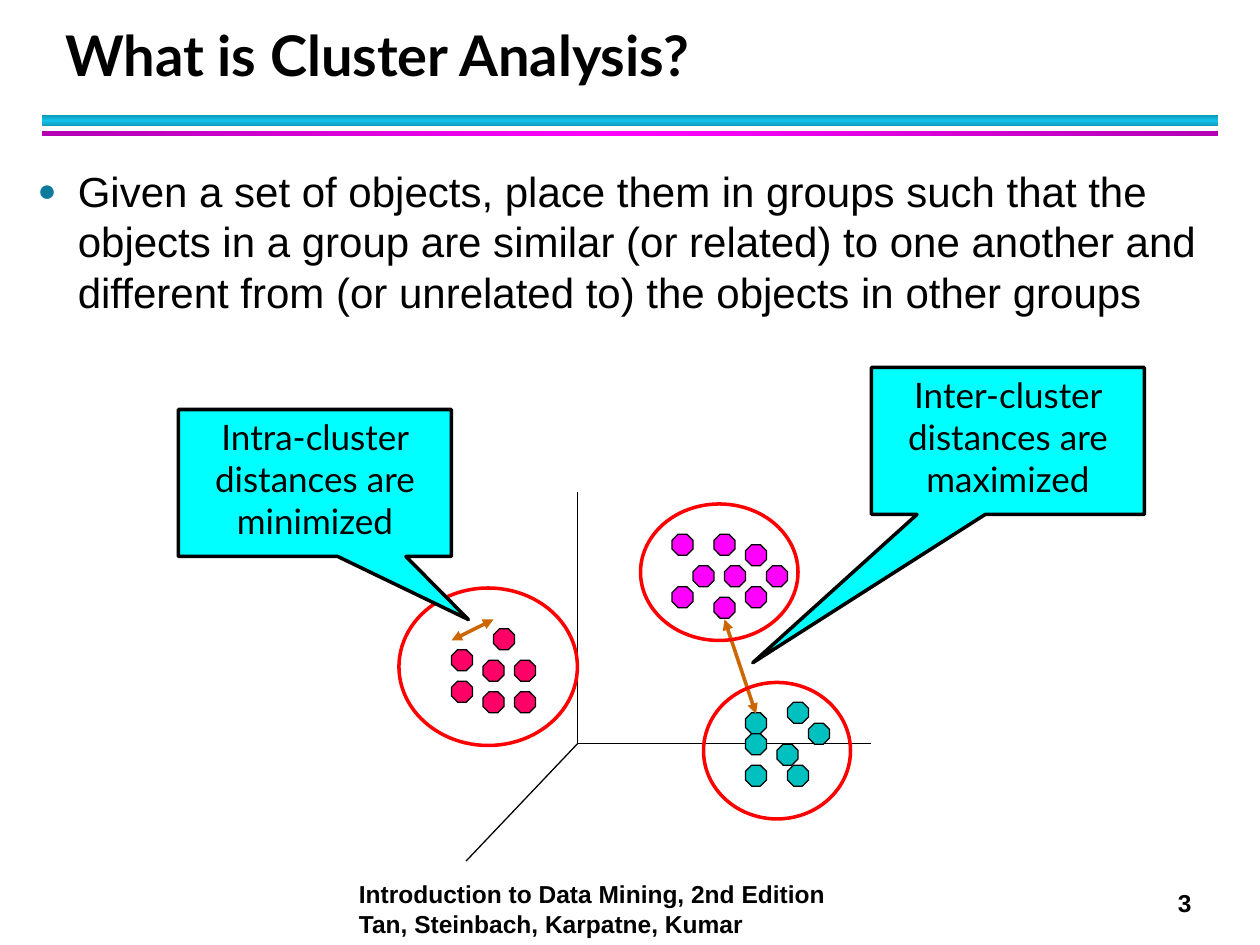
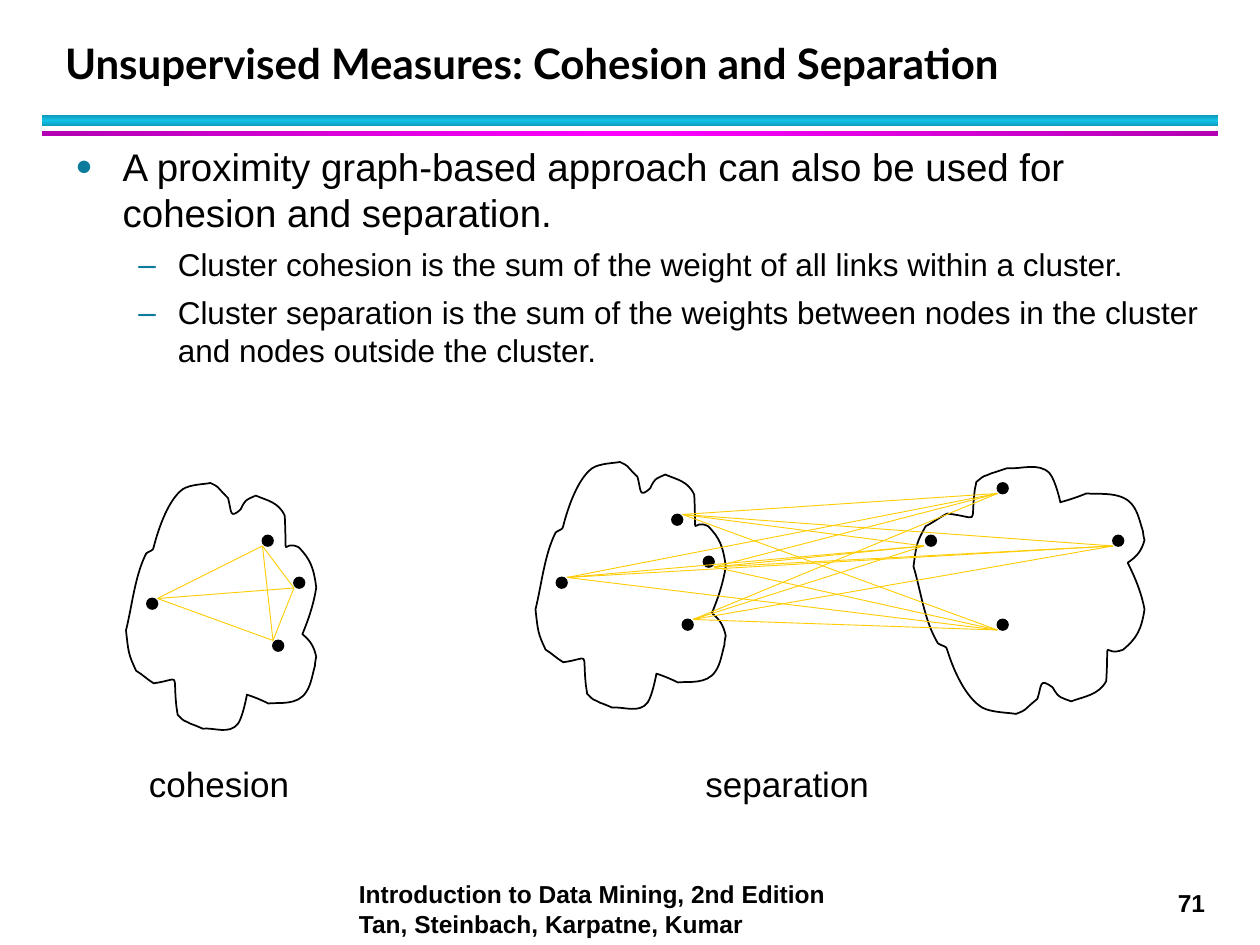
from copy import deepcopy
from itertools import combinations, product

from lxml import etree
from pptx import Presentation
from pptx import util as u
from pptx.dml.color import RGBColor
from pptx.enum import shapes, text
from pptx.oxml import ns

BLACK = RGBColor(0x00, 0x00, 0x00)
TEAL = RGBColor(0x0E, 0x9B, 0xBA)
SKY = RGBColor(0x12, 0xC2, 0xE9)
PLUM = RGBColor(0xB2, 0x00, 0xB2)
PINK = RGBColor(0xFF, 0x00, 0xFF)
ROSE = RGBColor(0xFF, 0x00, 0x66)
AQUA = RGBColor(0x00, 0xC0, 0xC0)
CYAN = RGBColor(0x00, 0xFF, 0xFF)
RED = RGBColor(0xFF, 0x00, 0x00)
RUST = RGBColor(0xCC, 0x66, 0x00)
GOLD = RGBColor(0xFF, 0xCC, 0x00)
MARK = "0C7B9C"

FOOTER = "Introduction to Data Mining, 2nd Edition Tan, Steinbach, Karpatne, Kumar"
BANDS = [
    ((24, 66, 672, 6), 90, (TEAL, SKY, TEAL)),
    ((24, 75, 672, 3), 0, (PLUM, PINK, PLUM)),
]

INTRO = {
    "title": "What is Cluster Analysis?", "size": 32, "page": "3",
    "box": (14.4, 91, 688, 102),
    "body": [("Given a set of objects, place them in groups such that the objects "
              "in a group are similar (or related) to one another and different "
              "from (or unrelated to) the objects in other groups", 24, 23, 23, "●")],
}
GRAPH = {
    "title": "Unsupervised Measures: Cohesion and Separation", "size": 24, "page": "71",
    "box": (36, 78, 666, 420),
    "body": [
        ("A proximity graph-based approach can also be used for cohesion and "
         "separation.", 22, 27, 27, "●"),
        ("Cluster cohesion is the sum of the weight of all links within a "
         "cluster.", 18, 58.5, 22.5, "–"),
        ("Cluster separation is the sum of the weights between nodes in the "
         "cluster and nodes outside the cluster.", 18, 58.5, 22.5, "–"),
    ],
}

AXES = [(330, 281, 330, 425), (330, 425, 498, 425), (330, 425, 266.4, 492)]
STEP, DROP = 6, 5.25
GROUPS = [
    (PINK, (366, 288, 90, 78), [(66, 53), (69, 53), (68, 50), (68, 56), (73, 53),
                                (71, 51), (64, 50), (71, 55), (64, 55)]),
    (ROSE, (228, 336, 102, 90), [(43, 61), (46, 62), (46, 65), (49, 62), (47, 59),
                                 (49, 65), (43, 64)]),
    (AQUA, (402, 390, 84, 78), [(71, 67), (77, 68), (74, 70), (71, 72), (75, 72),
                                (71, 69), (75, 66)]),
]
SPANS = [(432, 408, 414, 354), (258, 366, 282, 354)]
NOTES = [
    ("Inter-cluster distances are maximized", (498, 210, 156, 84), (-0.935, 1.509)),
    ("Intra-cluster distances are minimized", (102, 234, 156, 84), (0.562, 0.929)),
]

EDGE_W, EDGE_H = 151, 200
EDGE = [
    (16, 56),
    (7, 74), (5, 97), (0, 117), (2, 135), (2, 136), (8, 149),
    (13, 152), (17, 156), (22, 159), (44, 156), (37, 149), (40, 177),
    (40, 179), (41, 182), (41, 184), (48, 191), (44, 187), (51, 191),
    (54, 192), (61, 195), (61, 195), (70, 194), (82, 200), (89, 191),
    (93, 185), (96, 168), (96, 168), (102, 170), (107, 172), (113, 175),
    (121, 174), (136, 177), (143, 166), (147, 160), (148, 152), (150, 145),
    (150, 142), (151, 138), (151, 138), (149, 129), (146, 125), (140, 120),
    (145, 108), (149, 96), (151, 83), (149, 67), (146, 60), (137, 51),
    (123, 44), (128, 66), (126, 26), (121, 15), (112, 14), (103, 10),
    (97, 13), (95, 12), (91, 21), (82, 29), (84, 23), (81, 12),
    (70, 1), (75, 4), (67, 0), (63, 1), (51, 1), (45, 5),
    (34, 13), (26, 35), (22, 51), (22, 54), (18, 54), (16, 56),
]
DOTS = [(156, 366), (150, 306), (84, 342), (168, 330)]
SHIFT = (234, -12)
FAR = [(636, 306), (529, 306), (570, 354), (570, 276)]
BLOBS = [
    ((72, 276, 108.72, 144), False, DOTS),
    ((306, 264, 108.72, 144), False, [(x + SHIFT[0], y + SHIFT[1]) for x, y in DOTS]),
    ((522, 264, 132, 144), True, FAR),
]
TIES = [(90, 342), (150, 312), (156, 366), (168, 336)]
NEAR_ENDS = [(396, 354), (408, 324), (324, 330), (390, 294)]
FAR_ENDS = [(570, 360), (528, 312), (570, 282), (636, 312)]
LABELS = [("cohesion", 78), ("separation", 396)]


def pts(nums):
    return [u.Pt(n) for n in nums]


def sub(node, tag, **attrs):
    return etree.SubElement(node, ns.qn(tag), attrs)


def style(par, size, face="Arial", bold=False, lead=None):
    par.line_spacing = u.Pt(lead or round(size * 1.2, 2))
    for run in par.runs:
        font = run.font
        font.size, font.name, font.bold = u.Pt(size), face, bold
        font.color.rgb = BLACK


def write(slide, words, box, size, bold=False):
    frame = slide.shapes.add_textbox(*pts(box)).text_frame
    frame.word_wrap = True
    frame.text = words
    style(frame.paragraphs[0], size, bold=bold)


def paint(shape, fill, line, width):
    shape.shadow.inherit = False
    if fill is None:
        shape.fill.background()
    else:
        shape.fill.solid()
        shape.fill.fore_color.rgb = fill
    shape.line.color.rgb = line
    shape.line.width = u.Pt(width)


def draw(slide, kind, box, fill, line, width):
    shape = slide.shapes.add_shape(kind, *pts(box))
    paint(shape, fill, line, width)
    return shape


def link(slide, ends, color, width, arrows=False):
    wire = slide.shapes.add_connector(shapes.MSO_CONNECTOR.STRAIGHT, *pts(ends))
    wire.line.color.rgb = color
    wire.line.width = u.Pt(width)
    props = wire._element.spPr
    if arrows:
        for tag in ("a:headEnd", "a:tailEnd"):
            sub(props.find(ns.qn("a:ln")), tag, type="triangle")
    sub(props, "a:effectLst")


def band(slide, box, angle, tones):
    bar = slide.shapes.add_shape(shapes.MSO_SHAPE.RECTANGLE, *pts(box))
    bar.shadow.inherit = False
    bar.line.fill.background()
    bar.fill.gradient()
    bar.fill.gradient_angle = angle
    stops = next(bar._element.spPr.iter(ns.qn("a:gsLst")))
    stops.append(deepcopy(stops[0]))
    for stop, tone, spot in zip(bar.fill.gradient_stops, tones, (0, 0.5, 1)):
        stop.color.rgb = tone
        stop.position = spot


def bullet(par, left, hang, sign):
    props = par._p.get_or_add_pPr()
    props.set("marL", str(u.Pt(left)))
    props.set("indent", str(-u.Pt(hang)))
    sub(sub(props, "a:buClr"), "a:srgbClr", val=MARK)
    sub(props, "a:buSzPct", val="75000" if sign == "●" else "100000")
    sub(props, "a:buFont", typeface="Arial")
    sub(props, "a:buChar", char=sign)


def start(deck, page):
    slide = deck.slides.add_slide(deck.slide_layouts[5])
    for spec_row in BANDS:
        band(slide, *spec_row)
    write(slide, page["page"], (666, 504, 36, 24), 14, True)
    write(slide, FOOTER, (198, 499, 294, 41), 14, True)

    title = slide.shapes.title
    title.left, title.top, title.width, title.height = pts((30, 12, 652, 42))
    frame = title.text_frame
    frame.text = page["title"]
    frame.auto_size = text.MSO_AUTO_SIZE.NONE
    frame.vertical_anchor = text.MSO_ANCHOR.BOTTOM
    frame.paragraphs[0].alignment = text.PP_ALIGN.LEFT
    style(frame.paragraphs[0], page["size"], "Lato", True, 36)

    frame = slide.shapes.add_textbox(*pts(page["box"])).text_frame
    frame.word_wrap = True
    for n, (words, size, left, hang, sign) in enumerate(page["body"]):
        par = frame.add_paragraph() if n else frame.paragraphs[0]
        par.text = words
        bullet(par, left, hang, sign)
        style(par, size)
        par.space_before = u.Pt(1.8 if n else 0)
        par.space_after = u.Pt(4)
    return slide


def blob(slide, box, flip):
    left, top, wide, high = box
    spots = [pts((left + x * wide / EDGE_W,
                  top + (EDGE_H - y if flip else y) * high / EDGE_H))
             for x, y in EDGE]
    pen = slide.shapes.build_freeform(*spots[0])
    pen.add_line_segments(spots[1:], close=True)
    shape = pen.convert_to_shape()
    paint(shape, None, BLACK, 1)
    track = next(shape._element.iter(ns.qn("a:path")))
    legs = track.findall(ns.qn("a:lnTo"))[:len(EDGE) - 1]
    for n in range(0, len(legs), 3):
        curve = etree.Element(ns.qn("a:cubicBezTo"))
        legs[n].addprevious(curve)
        for leg in legs[n:n + 3]:
            curve.append(leg[0])
            track.remove(leg)


def intro(deck):
    slide = start(deck, INTRO)
    for ends in AXES:
        link(slide, ends, BLACK, 0.75)
    for color, _, cells in GROUPS:
        for col, row in cells:
            box = (col * STEP, row * STEP + DROP, 12, 12)
            draw(slide, shapes.MSO_SHAPE.OCTAGON, box, color, BLACK, 0.75)
    for ends in SPANS:
        link(slide, ends, RUST, 2, True)
    for _, ring, _ in GROUPS:
        draw(slide, shapes.MSO_SHAPE.OVAL, ring, None, RED, 2)
    for words, box, tip in NOTES:
        note = draw(slide, shapes.MSO_SHAPE.RECTANGULAR_CALLOUT, box, CYAN, BLACK, 2)
        note.adjustments[0], note.adjustments[1] = tip
        frame = note.text_frame
        frame.word_wrap = True
        frame.vertical_anchor = text.MSO_ANCHOR.TOP
        frame.text = words
        frame.paragraphs[0].alignment = text.PP_ALIGN.CENTER
        style(frame.paragraphs[0], 20, "Lato")


def graph(deck):
    slide = start(deck, GRAPH)
    for box, flip, dots in BLOBS:
        blob(slide, box, flip)
        for x, y in dots:
            draw(slide, shapes.MSO_SHAPE.OVAL, (x, y, 6, 6), BLACK, BLACK, 1)
    for a, b in [*combinations(TIES, 2), *product(NEAR_ENDS, FAR_ENDS)]:
        link(slide, a + b, GOLD, 0.5)
    for words, left in LABELS:
        write(slide, words, (left, 432, 120, 31), 20)


def main():
    deck = Presentation()
    deck.slide_width, deck.slide_height = pts((720, 540))
    intro(deck)
    graph(deck)
    deck.save("out.pptx")


if __name__ == "__main__":
    main()
